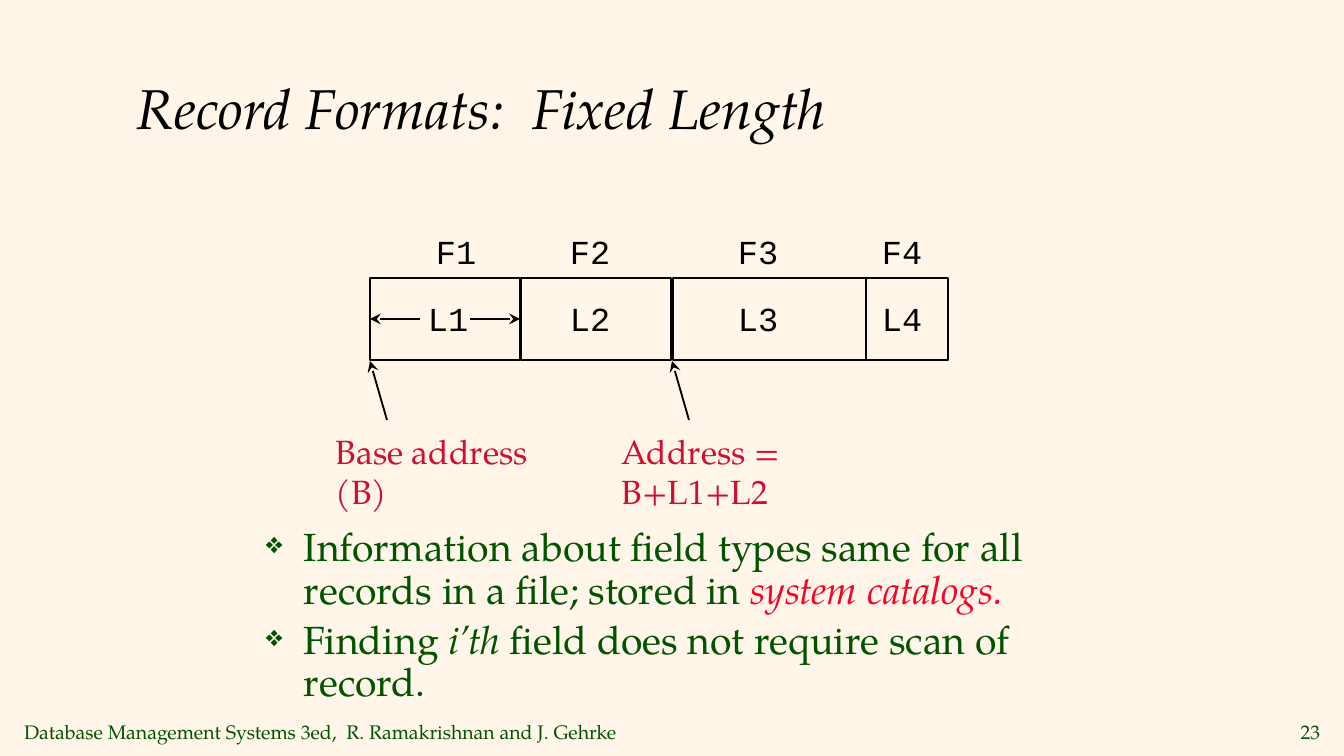
from lxml import etree
from pptx import Presentation
from pptx import util as u
from pptx.dml.color import RGBColor
from pptx.enum import shapes, text
from pptx.oxml.ns import qn

SCALE = 914400 / 134.4
CREAM = RGBColor(0xFF, 0xF6, 0xE9)
GREEN = RGBColor(0x00, 0x54, 0x00)
BLACK = RGBColor(0x00, 0x00, 0x00)
CRIMSON = RGBColor(0xCF, 0x0E, 0x30)
RED = RGBColor(0xFC, 0x01, 0x28)
SERIF = "TeX Gyre Pagella"
MONO = "Courier New"

TITLE = {"name": SERIF, "size": u.Pt(30), "italic": True, "color": BLACK}
BODY = {"name": SERIF, "size": u.Pt(21), "italic": False, "color": GREEN}
ITALIC = {**BODY, "italic": True}
TERM = {**ITALIC, "color": RED}
FOOT = {"name": SERIF, "size": u.Pt(10.5), "color": GREEN}
LABEL = {"name": MONO, "size": u.Pt(18), "color": BLACK}
NOTE = {"name": SERIF, "size": u.Pt(18), "color": CRIMSON}

ROW_TOP = 278
ROW_HIGH = 82
FIELDS = [(370, 150, 426, 418), (521, 150, 560, 560),
          (673, 193, 728, 728), (866, 82, 872, 872)]
POINTS = [
    [("Information about field types same for all records in a file; stored in ", BODY),
     ("system catalogs.", TERM)],
    [("Finding ", BODY), ("i’th ", ITALIC),
     ("field does not require scan of record.", BODY)],
]


def px(n):
    return u.Emu(round(n * SCALE))


def style(font, look):
    for key, value in look.items():
        if key == "color":
            font.color.rgb = value
        else:
            setattr(font, key, value)


def add_run(para, words, look):
    run = para.add_run()
    run.text = words
    style(run.font, look)


def add_box(slide, area, pad=(10, 5), anchor=text.MSO_ANCHOR.TOP):
    frame = slide.shapes.add_textbox(*map(px, area)).text_frame
    side, edge = map(px, pad)
    values = {"word_wrap": True, "vertical_anchor": anchor,
              "margin_left": side, "margin_right": side,
              "margin_top": edge, "margin_bottom": edge}
    for key, value in values.items():
        setattr(frame, key, value)
    return frame


def add_text(slide, area, words, look, align=text.PP_ALIGN.LEFT, **opts):
    para = add_box(slide, area, **opts).paragraphs[0]
    para.alignment = align
    add_run(para, words, look)


def add_bullet(para):
    props = para._p.get_or_add_pPr()
    props.set("marL", str(px(38)))
    props.set("indent", str(-px(38)))
    color = etree.SubElement(props, qn("a:buClr"))
    etree.SubElement(color, qn("a:srgbClr"), val=str(GREEN))
    etree.SubElement(props, qn("a:buSzPct"), val="75000")
    etree.SubElement(props, qn("a:buChar"), char="❖")


def add_points(slide, area, points):
    frame = add_box(slide, area, pad=(13, 7))
    for i, runs in enumerate(points):
        para = frame.add_paragraph() if i else frame.paragraphs[0]
        add_bullet(para)
        para.line_spacing = 0.9
        if i:
            para.space_before = u.Pt(4.2)
        for words, look in runs:
            add_run(para, words, look)


def add_cell(slide, left, width):
    cell = slide.shapes.add_shape(
        shapes.MSO_SHAPE.RECTANGLE, *map(px, (left, ROW_TOP, width, ROW_HIGH)))
    cell.shadow.inherit = False
    cell.fill.background()
    cell.line.color.rgb = BLACK
    cell.line.width = u.Pt(1)
    return cell


def add_arrow(slide, start, end, cell=None, site=None):
    arrow = slide.shapes.add_connector(
        shapes.MSO_CONNECTOR.STRAIGHT, *map(px, start + end))
    if cell is not None:
        arrow.end_connect(cell, site)
    arrow.line.color.rgb = BLACK
    arrow.line.width = u.Pt(1)
    etree.SubElement(arrow.line._get_or_add_ln(), qn("a:tailEnd"), type="stealth")
    etree.SubElement(arrow._element.spPr, qn("a:effectLst"))


def add_record(slide):
    cells = []
    for i, (left, width, name, size) in enumerate(FIELDS, 1):
        cells.append(add_cell(slide, left, width))
        add_text(slide, (name, 226, 64, 51), f"F{i}", LABEL)
        add_text(slide, (size, 293, 64, 51), f"L{i}", LABEL)
    mid = ROW_TOP + ROW_HIGH // 2
    add_arrow(slide, (420, mid), (370, mid), cells[0], 1)
    add_arrow(slide, (470, mid), (520, mid), cells[0], 3)


def add_notes(slide):
    for left, width, tip, words in [(326, 256, 370, "Base address (B)"),
                                    (612, 316, 672, "Address = B+L1+L2")]:
        add_arrow(slide, (tip + 17, 420), (tip, 361))
        add_text(slide, (left, 426, width, 90), words, NOTE)


def main():
    deck = Presentation()
    deck.slide_width = px(1344)
    deck.slide_height = px(756)
    slide = deck.slides.add_slide(deck.slide_layouts[6])
    fill = slide.background.fill
    fill.solid()
    fill.fore_color.rgb = CREAM
    middle = text.MSO_ANCHOR.MIDDLE
    add_text(slide, (14, 715, 624, 34),
             "Database Management Systems 3ed,  R. Ramakrishnan and J. Gehrke",
             FOOT, anchor=middle)
    add_text(slide, (1284, 715, 46, 34), "23", FOOT,
             text.PP_ALIGN.RIGHT, anchor=middle)
    add_text(slide, (124, 46, 1142, 122), "Record Formats:  Fixed Length",
             TITLE, pad=(13, 7), anchor=middle)
    add_points(slide, (253, 521, 806, 202), POINTS)
    add_record(slide)
    add_notes(slide)
    deck.save("out.pptx")


if __name__ == "__main__":
    main()
